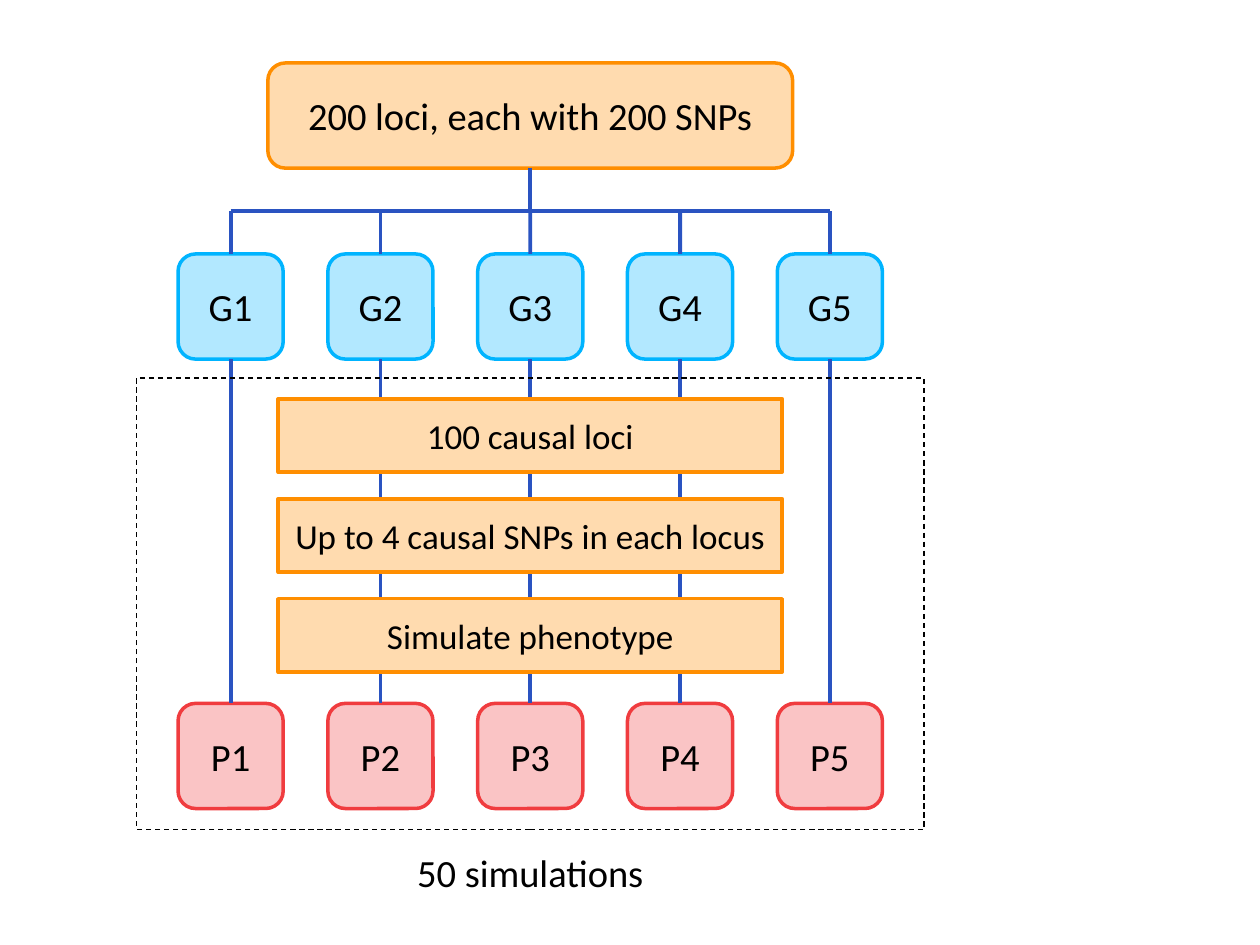
import pptx
import pptx.util
import pptx.dml.color
import pptx.enum.dml
import pptx.enum.shapes
import pptx.enum.text
import pptx.oxml.ns
from lxml import etree
from pptx.util import Cm

COLORS = {
    "ink": "000000",
    "link": "2A53C1",
    "step": "FFDBAF",
    "step_edge": "FF8E00",
    "genotype": "00B4FF",
    "phenotype": "F03C3F",
}
RECT = pptx.enum.shapes.MSO_SHAPE.RECTANGLE
ROUNDED = pptx.enum.shapes.MSO_SHAPE.ROUNDED_RECTANGLE
TOP, BOTTOM = 0, 2
GROUPS = 5
NODE_SIZE = 2.12


def rgb(name):
    return pptx.dml.color.RGBColor.from_string(COLORS[name])


def write(shape, text, size=22, color="ink", font="Calibri"):
    frame = shape.text_frame
    frame.word_wrap = True
    frame.margin_left = frame.margin_right = 0
    frame.margin_top = frame.margin_bottom = 0
    frame.vertical_anchor = pptx.enum.text.MSO_ANCHOR.MIDDLE
    paragraph = frame.paragraphs[0]
    paragraph.alignment = pptx.enum.text.PP_ALIGN.CENTER
    run = paragraph.add_run()
    run.text = text
    run.font.size = pptx.util.Pt(size)
    run.font.name = font
    run.font.color.rgb = rgb(color)


def add_block(slide, box, kind, edge, fill=None, opacity=100, weight=2):
    block = slide.shapes.add_shape(kind, *map(Cm, box))
    block.shadow.inherit = False
    block.line.color.rgb = rgb(edge)
    block.line.width = pptx.util.Pt(weight)
    if fill is None:
        block.fill.background()
        return block
    block.fill.solid()
    block.fill.fore_color.rgb = rgb(fill)
    if opacity < 100:
        color = block.fill._xPr.find(".//" + pptx.oxml.ns.qn("a:srgbClr"))
        alpha = etree.SubElement(color, pptx.oxml.ns.qn("a:alpha"))
        alpha.set("val", str(opacity * 1000))
    return block


def add_link(slide, start, end, upper=None, lower=None):
    link = slide.shapes.add_connector(
        pptx.enum.shapes.MSO_CONNECTOR.STRAIGHT, *map(Cm, (*start, *end)))
    link.line.color.rgb = rgb("link")
    link.line.width = pptx.util.Pt(2.25)
    etree.SubElement(link._element.spPr, pptx.oxml.ns.qn("a:effectLst"))
    if upper is not None:
        link.begin_connect(upper, BOTTOM)
    if lower is not None:
        link.end_connect(lower, TOP)


def node_centers(left, width):
    pitch = (width - NODE_SIZE) / (GROUPS - 1)
    return [left + NODE_SIZE / 2 + i * pitch for i in range(GROUPS)]


def add_node_row(slide, box, prefix, color):
    left, top, width, height = box
    nodes = []
    for number, center in enumerate(node_centers(left, width), 1):
        node = add_block(slide, (center - NODE_SIZE / 2, top, NODE_SIZE, height),
                         ROUNDED, color, fill=color, opacity=30)
        write(node, f"{prefix}{number}")
        nodes.append(node)
    return nodes


def add_loci_pool(slide, box):
    pool = add_block(slide, box, ROUNDED, "step_edge", fill="step")
    write(pool, "200 loci, each with 200 SNPs")
    return pool


def add_branches(slide, box, pool, genotypes):
    left, top, width, height = box
    bus = top + height / 2
    centers = node_centers(left, width)
    middle = left + width / 2
    add_link(slide, (middle, top), (middle, bus), upper=pool)
    add_link(slide, (centers[0], bus), (centers[-1], bus))
    for center, genotype in zip(centers, genotypes):
        add_link(slide, (center, bus), (center, top + height), lower=genotype)


def add_descents(slide, box, genotypes, phenotypes):
    left, top, width, height = box
    for center, upper, lower in zip(node_centers(left, width), genotypes, phenotypes):
        add_link(slide, (center, top), (center, top + height), upper, lower)


def add_steps(slide, box, steps):
    left, top, width, height = box
    step_height = 1.48
    pitch = (height - step_height) / (len(steps) - 1)
    for i, text in enumerate(steps):
        step = add_block(slide, (left, top + i * pitch, width, step_height),
                         RECT, "step_edge", fill="step")
        write(step, text, size=20)


def add_simulation_frame(slide, box):
    left, top, width, height = box
    frame = add_block(slide, box, RECT, "ink", weight=0.75)
    frame.line.dash_style = pptx.enum.dml.MSO_LINE.DASH
    label_width = 7.4
    label = slide.shapes.add_textbox(
        Cm(left + (width - label_width) / 2), Cm(top + height + 0.22),
        Cm(label_width), Cm(1.27))
    write(label, "50 simulations")


def main():
    deck = pptx.Presentation()
    deck.slide_width, deck.slide_height = Cm(25.4), Cm(19.05)
    slide = deck.slides.add_slide(deck.slide_layouts[6])

    left, width = 3.59, 14.2
    pool_top, genotype_top, phenotype_top = 1.27, 5.12, 14.18
    pool_bottom = pool_top + NODE_SIZE
    genotype_bottom = genotype_top + NODE_SIZE

    phenotypes = add_node_row(
        slide, (left, phenotype_top, width, NODE_SIZE), "P", "phenotype")
    genotypes = add_node_row(
        slide, (left, genotype_top, width, NODE_SIZE), "G", "genotype")
    pool = add_loci_pool(slide, (5.4, pool_top, 10.58, NODE_SIZE))
    add_descents(
        slide, (left, genotype_bottom, width, phenotype_top - genotype_bottom),
        genotypes, phenotypes)
    add_branches(
        slide, (left, pool_bottom, width, genotype_top - pool_bottom),
        pool, genotypes)
    add_steps(slide, (5.61, 8.04, 10.16, 5.51), [
        "100 causal loci",
        "Up to 4 causal SNPs in each locus",
        "Simulate phenotype",
    ])
    add_simulation_frame(slide, (2.75, 7.62, 15.88, 9.1))
    deck.save("out.pptx")


if __name__ == "__main__":
    main()
